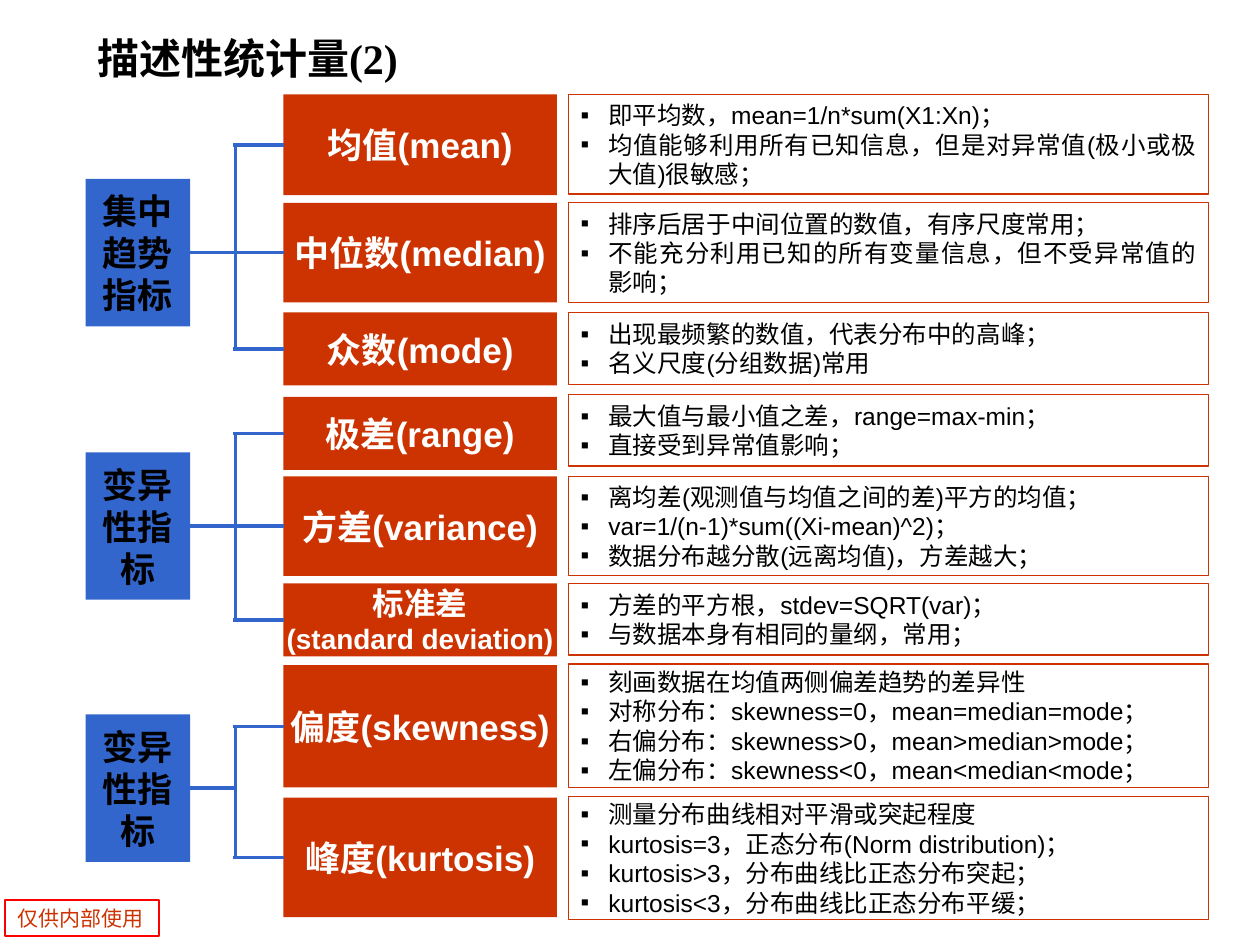
"""Build the slide of descriptive statistics, grouped by kind of measure."""
from lxml import etree
from pptx import Presentation
from pptx import util as u
from pptx.dml.color import RGBColor
from pptx.enum import shapes, text
from pptx.oxml import ns

RED = RGBColor(0xCC, 0x33, 0x00)
BLUE = RGBColor(0x33, 0x66, 0xCC)
BRIGHT = RGBColor(0xFF, 0x00, 0x00)
WHITE = RGBColor(0xFF, 0xFF, 0xFF)
BLACK = RGBColor(0x00, 0x00, 0x00)
CJK = "Noto Sans CJK SC"

GROUPS = [
    (1.42, "集中趋势指标", [
        (0.75, 0.8, [("均值(mean)", 20)], 0.75, 0.79,
         ["即平均数，mean=1/n*sum(X1:Xn)；",
          "均值能够利用所有已知信息，但是对异常值(极小或极大值)很敏感；"]),
        (1.61, 0.79, [("中位数(median)", 20)], 1.61, 0.79,
         ["排序后居于中间位置的数值，有序尺度常用；",
          "不能充分利用已知的所有变量信息，但不受异常值的影响；"]),
        (2.48, 0.58, [("众数(mode)", 20)], 2.48, 0.57,
         ["出现最频繁的数值，代表分布中的高峰；",
          "名义尺度(分组数据)常用"]),
    ]),
    (3.59, "变异性指标", [
        (3.15, 0.58, [("极差(range)", 20)], 3.13, 0.57,
         ["最大值与最小值之差，range=max-min；",
          "直接受到异常值影响；"]),
        (3.78, 0.79, [("方差(variance)", 20)], 3.78, 0.79,
         ["离均差(观测值与均值之间的差)平方的均值；",
          "var=1/(n-1)*sum((Xi-mean)^2)；",
          "数据分布越分散(远离均值)，方差越大；"]),
        (4.63, 0.58, [("标准差", 18), ("(standard deviation)", 16)], 4.63, 0.57,
         ["方差的平方根，stdev=SQRT(var)；",
          "与数据本身有相同的量纲，常用；"]),
    ]),
    (5.67, "变异性指标", [
        (5.28, 0.97, [("偏度(skewness)", 20)], 5.27, 0.98,
         ["刻画数据在均值两侧偏差趋势的差异性",
          "对称分布：skewness=0，mean=median=mode；",
          "右偏分布：skewness>0，mean>median>mode；",
          "左偏分布：skewness<0，mean<median<mode；"]),
        (6.33, 0.95, [("峰度(kurtosis)", 20)], 6.32, 0.98,
         ["测量分布曲线相对平滑或突起程度",
          "kurtosis=3，正态分布(Norm distribution)；",
          "kurtosis>3，分布曲线比正态分布突起；",
          "kurtosis<3，分布曲线比正态分布平缓；"]),
    ]),
]


def write(p, words, size=14, color=BLACK, bold=False, font="Arial",
          align=text.PP_ALIGN.LEFT, bullet=False):
    """Put formatted words into a paragraph."""
    p.alignment = align
    if bullet:
        pPr = p._p.get_or_add_pPr()
        pPr.set("marL", str(u.Inches(0.22)))
        pPr.set("indent", str(u.Inches(-0.22)))
        clr = etree.SubElement(pPr, ns.qn("a:buClr"))
        etree.SubElement(clr, ns.qn("a:srgbClr"), val=str(BLACK))
        etree.SubElement(pPr, ns.qn("a:buFont"), typeface="Arial")
        etree.SubElement(pPr, ns.qn("a:buChar"), char="▪")
    r = p.add_run()
    r.text = words
    r.font.size, r.font.bold, r.font.name = u.Pt(size), bold, font
    r.font.color.rgb = color
    r.font._element.find(ns.qn("a:latin")).addnext(
        etree.Element(ns.qn("a:ea"), typeface=CJK))


class Deck:
    """Hold the style and the current slide."""

    def __init__(self, prs):
        """Start a slide that has only a title."""
        self.s = prs.slides.add_slide(prs.slide_layouts[5])
        self.line_width = u.Pt(2)

    def title(self, words):
        """Set the title placeholder."""
        sp = self.s.shapes.title
        sp.left, sp.top, sp.width, sp.height = map(u.Inches, (0.67, 0.17, 8.67, 0.58))
        sp.text_frame.vertical_anchor = text.MSO_ANCHOR.MIDDLE
        write(sp.text_frame.paragraphs[0], words, size=24, bold=True,
              font="Times New Roman")

    def box(self, at, lines, fill=None, line=None, width=0.75, wrap=True,
            anchor=text.MSO_ANCHOR.MIDDLE, **style):
        """Add a rectangle with one paragraph for each (words, size) line."""
        sp = self.s.shapes.add_shape(shapes.MSO_SHAPE.RECTANGLE, *map(u.Inches, at))
        sp.shadow.inherit = False
        if fill is None:
            sp.fill.background()
        else:
            sp.fill.solid()
            sp.fill.fore_color.rgb = fill
        if line is None:
            sp.line.fill.background()
        else:
            sp.line.color.rgb = line
            sp.line.width = u.Pt(width)
        tf = sp.text_frame
        tf.word_wrap, tf.vertical_anchor = wrap, anchor
        for i, (words, size) in enumerate(lines):
            p = tf.add_paragraph() if i else tf.paragraphs[0]
            write(p, words, size=size, **style)
        return sp

    def line(self, x1, y1, x2, y2, begin=None, end=None):
        """Add a line, joined to the right side of begin and left side of end."""
        c = self.s.shapes.add_connector(shapes.MSO_CONNECTOR.STRAIGHT, x1, y1, x2, y2)
        c.line.color.rgb = BLUE
        c.line.width = self.line_width
        etree.SubElement(c._element.spPr, ns.qn("a:effectLst"))
        if begin is not None:
            c.begin_connect(begin, 3)
        if end is not None:
            c.end_connect(end, 1)

    def tree(self, group, names):
        """Join a group box to the boxes of its measures."""
        trunk, overhang = u.Inches(1.87), u.Inches(0.02)
        mids = [n.top + n.height // 2 for n in names]
        stem_x, stem_y = group.left + group.width, group.top + group.height // 2
        self.line(trunk, mids[0], trunk, mids[-1])
        middle = names[1] if len(names) == 3 else None
        self.line(stem_x, stem_y, trunk, stem_y, begin=group, end=middle)
        for n, y in ((names[0], mids[0]), (names[-1], mids[-1])):
            self.line(trunk - overhang, y, n.left, y, end=n)


def main():
    """Build and save the slide."""
    prs = Presentation()
    prs.slide_width, prs.slide_height = u.Inches(10), u.Inches(7.5)
    deck = Deck(prs)
    deck.title("描述性统计量(2)")
    deck.box((0.04, 7.14, 1.22, 0.29), [("仅供内部使用", 12)], line=BRIGHT, width=1,
             color=RED, font=CJK, anchor=text.MSO_ANCHOR.TOP)
    center, justify = text.PP_ALIGN.CENTER, text.PP_ALIGN.JUSTIFY
    for top, label, rows in GROUPS:
        group = deck.box((0.68, top, 0.83, 1.17), [(label, 20)], fill=BLUE,
                         bold=True, align=center)
        names = []
        for name_top, name_h, name, list_top, list_h, points in rows:
            names.append(deck.box((2.25, name_top, 2.17, name_h), name, fill=RED,
                                  wrap=False, color=WHITE, bold=True, align=center))
            deck.box((4.51, list_top, 5.08, list_h), [(t, 14) for t in points],
                     line=RED, align=justify, bullet=True)
        deck.tree(group, names)
    prs.save("out.pptx")


if __name__ == "__main__":
    main()
